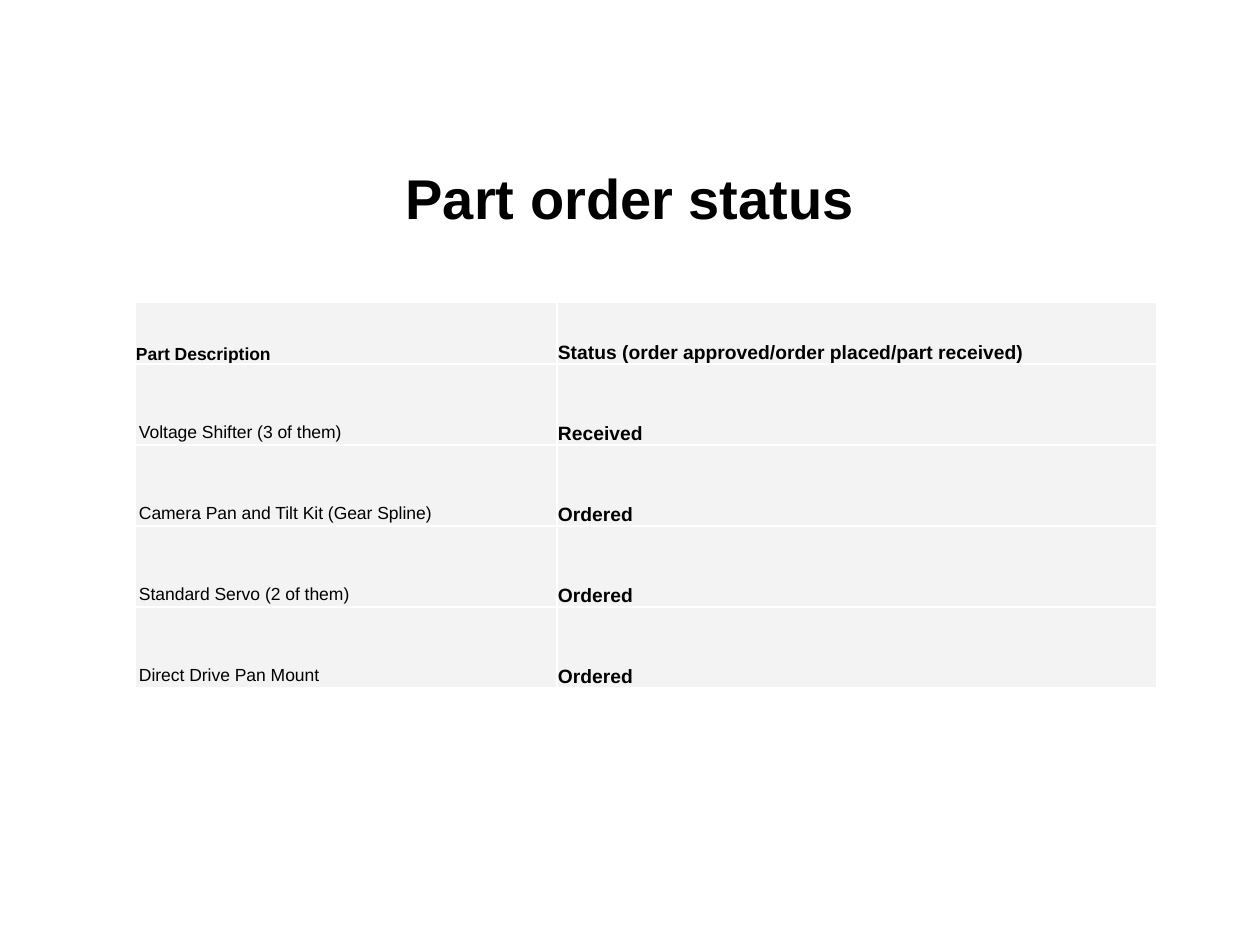
from dataclasses import dataclass

from lxml import etree
from pptx import Presentation
from pptx.dml.color import RGBColor
from pptx.enum import text
from pptx.oxml.ns import qn
from pptx.util import Pt

PX = 914400 // 126


@dataclass(frozen=True)
class Theme:
    font: str = "Arial"
    ink: str = "000000"
    cell: str = "F3F3F3"
    rule: str = "FFFFFF"
    title: int = 32
    strong: int = 11
    body: int = 10


theme = Theme()


def write(frame, words, size, bold=False, align=text.PP_ALIGN.LEFT, spacing=None):
    para = frame.paragraphs[0]
    para.alignment = align
    if spacing:
        para.line_spacing = spacing
    span = para.add_run()
    span.text = words
    span.font.name = theme.font
    span.font.size = Pt(size)
    span.font.bold = bold
    span.font.color.rgb = RGBColor.from_string(theme.ink)


def add_borders(cell):
    properties = cell._tc.get_or_add_tcPr()
    for index, side in enumerate(("lnL", "lnR", "lnT", "lnB")):
        line = etree.Element(qn(f"a:{side}"), w=str(Pt(1)))
        fill = etree.SubElement(line, qn("a:solidFill"))
        etree.SubElement(fill, qn("a:srgbClr"), val=theme.rule)
        properties.insert(index, line)


deck = Presentation()
deck.slide_width, deck.slide_height = 1260 * PX, 945 * PX
page = deck.slides.add_slide(deck.slide_layouts[6])

# Title
box = page.shapes.add_textbox(63 * PX, 142 * PX, 1134 * PX, 111 * PX)
box.text_frame.word_wrap = True
box.text_frame.vertical_anchor = text.MSO_ANCHOR.MIDDLE
write(box.text_frame, "Part order status", theme.title, bold=True,
      align=text.PP_ALIGN.CENTER)

# Order table
orders = [
    ("Part Description", "Status (order approved/order placed/part received)"),
    ("Voltage Shifter (3 of them)", "Received"),
    ("Camera Pan and Tilt Kit (Gear Spline)", "Ordered"),
    ("Standard Servo (2 of them)", "Ordered"),
    ("Direct Drive Pan Mount", "Ordered"),
]
widths = [422, 600]
heights = [62] + [81] * (len(orders) - 1)
table = page.shapes.add_table(len(orders), len(widths), 135 * PX, 302 * PX,
                              sum(widths) * PX, sum(heights) * PX).table
for column, width in zip(table.columns, widths):
    column.width = width * PX
for row, height in zip(table.rows, heights):
    row.height = height * PX

for row, order in enumerate(orders):
    for column, words in enumerate(order):
        cell = table.cell(row, column)
        is_part = row > 0 and column == 0
        cell.vertical_anchor = text.MSO_ANCHOR.BOTTOM
        cell.margin_left = cell.margin_right = (4 if is_part else 1) * PX
        cell.margin_top = (3 if is_part else 1) * PX
        cell.margin_bottom = (3 if is_part else 0) * PX
        cell.fill.solid()
        cell.fill.fore_color.rgb = RGBColor.from_string(theme.cell)
        add_borders(cell)
        write(cell.text_frame, words, theme.strong if column else theme.body,
              bold=not is_part, spacing=1.15 if is_part else None)

deck.save("out.pptx")
